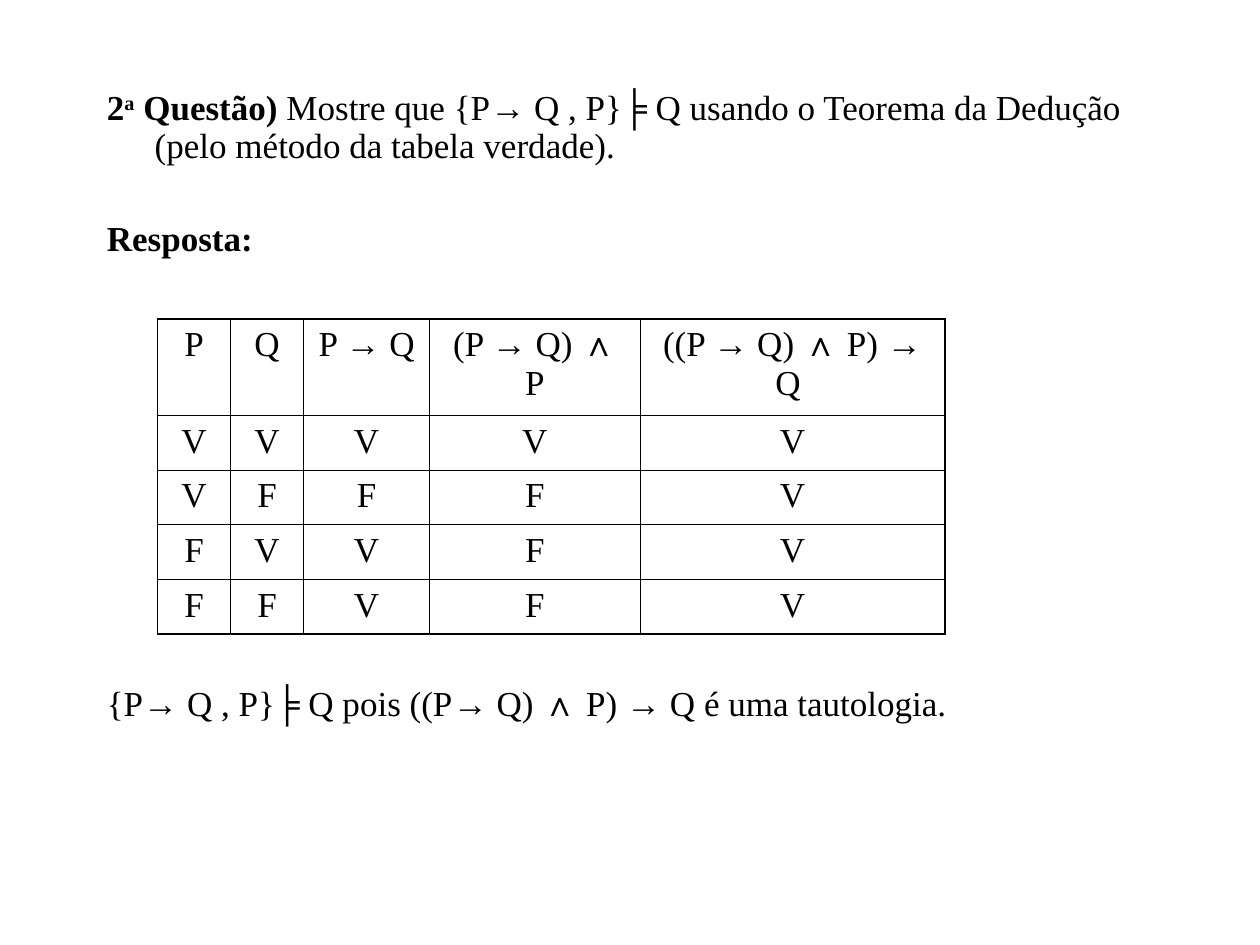
from itertools import groupby

from lxml import etree
from pptx import Presentation
from pptx import util as u
from pptx.dml.color import RGBColor
from pptx.enum import text
from pptx.oxml.ns import qn

COLOURS = {"ink": "000000"}
SYMBOLS = "→∧"
SIZE = 20
INDENT = 0.38
OUTER, INNER = 1.08, 0.45

HEADINGS = ["P", "Q", "P → Q", "(P → Q) ∧ P", "((P → Q) ∧ P) → Q "]
VALUATIONS = ["VVVVV", "VFFFV", "FVVFV", "FFVFV"]
COLUMN_WIDTHS = [0.58, 0.58, 1, 1.67, 2.42]
ROW_HEIGHT = 0.43

QUESTION = "Mostre que {P→ Q , P}╞ Q usando o Teorema da Dedução (pelo método da tabela verdade)."
CONCLUSION = "{P→ Q , P}╞ Q pois ((P→ Q) ∧ P) → Q é uma tautologia."


def add_runs(paragraph, wording, bold=False, raised=False):
    for is_symbol, letters in groupby(wording, lambda letter: letter in SYMBOLS):
        run = paragraph.add_run()
        run.text = "".join(letters)
        run.font.name = "Arial" if is_symbol else "Times New Roman"
        run.font.size = u.Pt(SIZE)
        run.font.bold = bold
        run.font.color.rgb = RGBColor.from_string(COLOURS["ink"])
        if raised:
            run.font._element.set("baseline", "30000")


def hang(paragraph, space_before=0):
    paragraph.line_spacing = 0.9
    paragraph.space_before = u.Pt(space_before)
    properties = paragraph._p.get_or_add_pPr()
    properties.set("marL", str(u.Inches(INDENT)))
    properties.set("indent", str(-u.Inches(INDENT)))


def add_exercise(slide):
    frame = slide.shapes.add_textbox(
        u.Inches(0.75), u.Inches(0.67), u.Inches(8.5), u.Inches(6)
    ).text_frame
    frame.word_wrap = True

    question = frame.paragraphs[0]
    hang(question)
    add_runs(question, "2", bold=True)
    add_runs(question, "a", bold=True, raised=True)
    add_runs(question, " Questão) ", bold=True)
    add_runs(question, QUESTION)

    answer = frame.add_paragraph()
    hang(answer, space_before=31.5)
    add_runs(answer, "Resposta:", bold=True)

    conclusion = frame.add_paragraph()
    hang(conclusion, space_before=244)
    conclusion.alignment = text.PP_ALIGN.JUSTIFY
    add_runs(conclusion, CONCLUSION)


def border_cell(cell, edges):
    properties = cell._tc.get_or_add_tcPr()
    for position, (side, is_outer) in enumerate(edges.items()):
        line = etree.Element(qn(f"a:ln{side}"), w=str(u.Pt(OUTER if is_outer else INNER)))
        fill = etree.SubElement(line, qn("a:solidFill"))
        etree.SubElement(fill, qn("a:srgbClr"), val=COLOURS["ink"])
        properties.insert(position, line)


def add_truth_table(slide):
    rows = [HEADINGS, *VALUATIONS]
    truth_table = slide.shapes.add_table(
        len(rows), len(HEADINGS), u.Inches(1.25), u.Inches(2.53),
        u.Inches(sum(COLUMN_WIDTHS)), u.Inches(ROW_HEIGHT * len(rows)),
    ).table
    truth_table.first_row = False
    truth_table.horz_banding = False
    for column, width in zip(truth_table.columns, COLUMN_WIDTHS):
        column.width = u.Inches(width)

    for r, row in enumerate(rows):
        for c, wording in enumerate(row):
            cell = truth_table.cell(r, c)
            cell.fill.background()
            border_cell(cell, {
                "L": c == 0,
                "R": c == len(row) - 1,
                "T": r == 0,
                "B": r == len(rows) - 1,
            })
            paragraph = cell.text_frame.paragraphs[0]
            paragraph.alignment = text.PP_ALIGN.CENTER
            add_runs(paragraph, wording)


def main():
    deck = Presentation()
    deck.slide_width, deck.slide_height = u.Inches(10), u.Inches(7.5)
    slide = deck.slides.add_slide(deck.slide_layouts[6])
    add_exercise(slide)
    add_truth_table(slide)
    deck.save("out.pptx")


if __name__ == "__main__":
    main()
